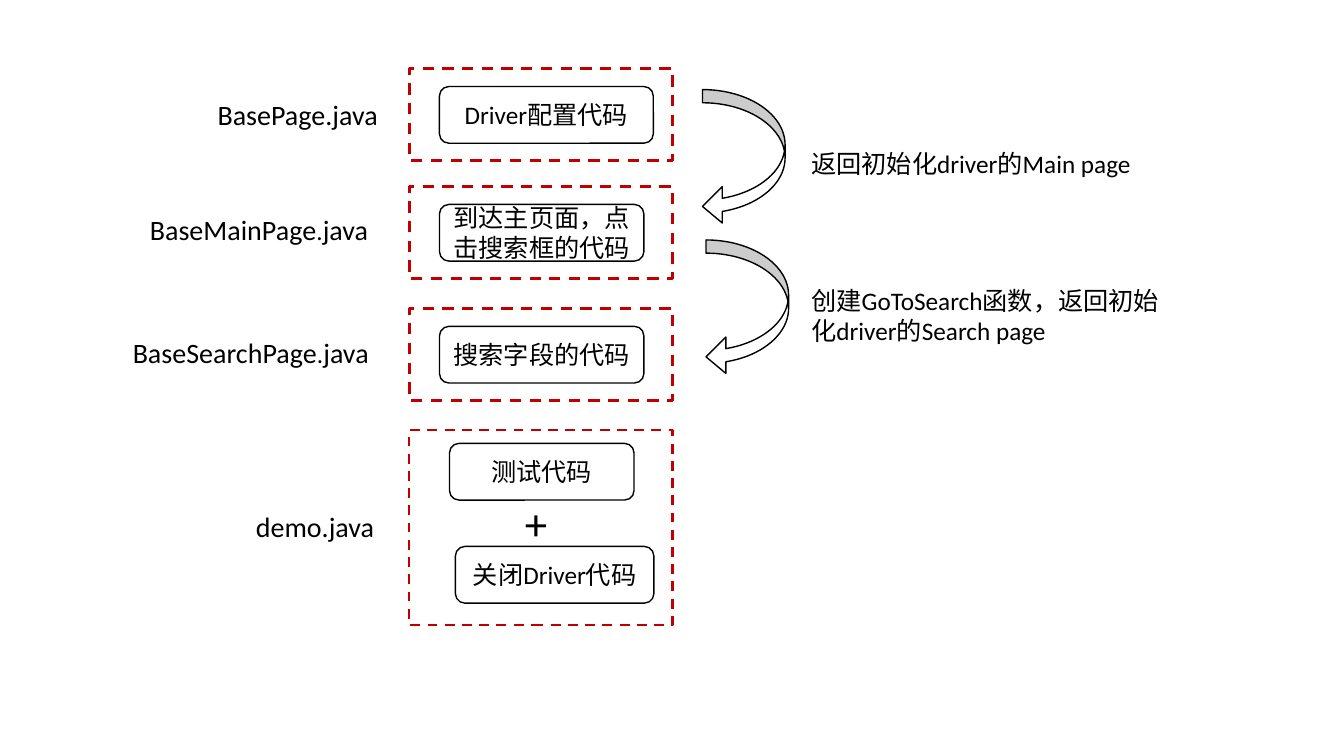
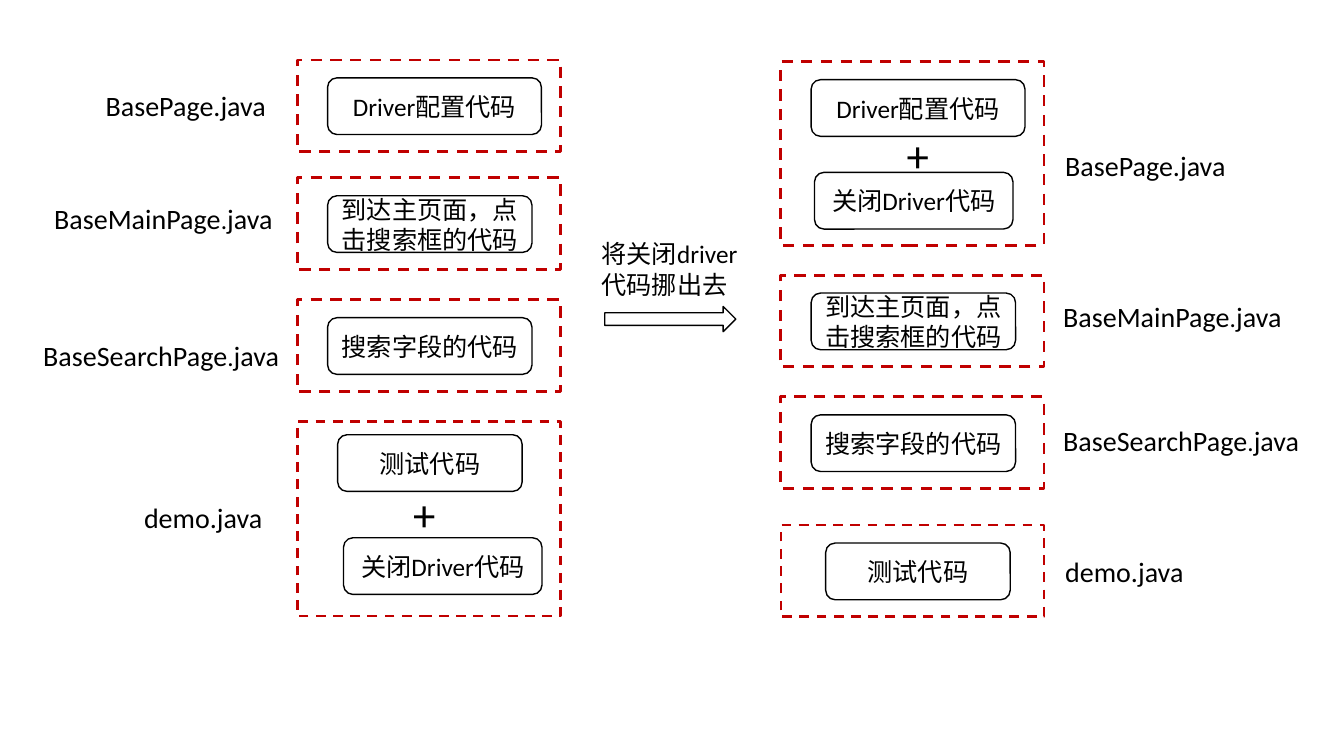
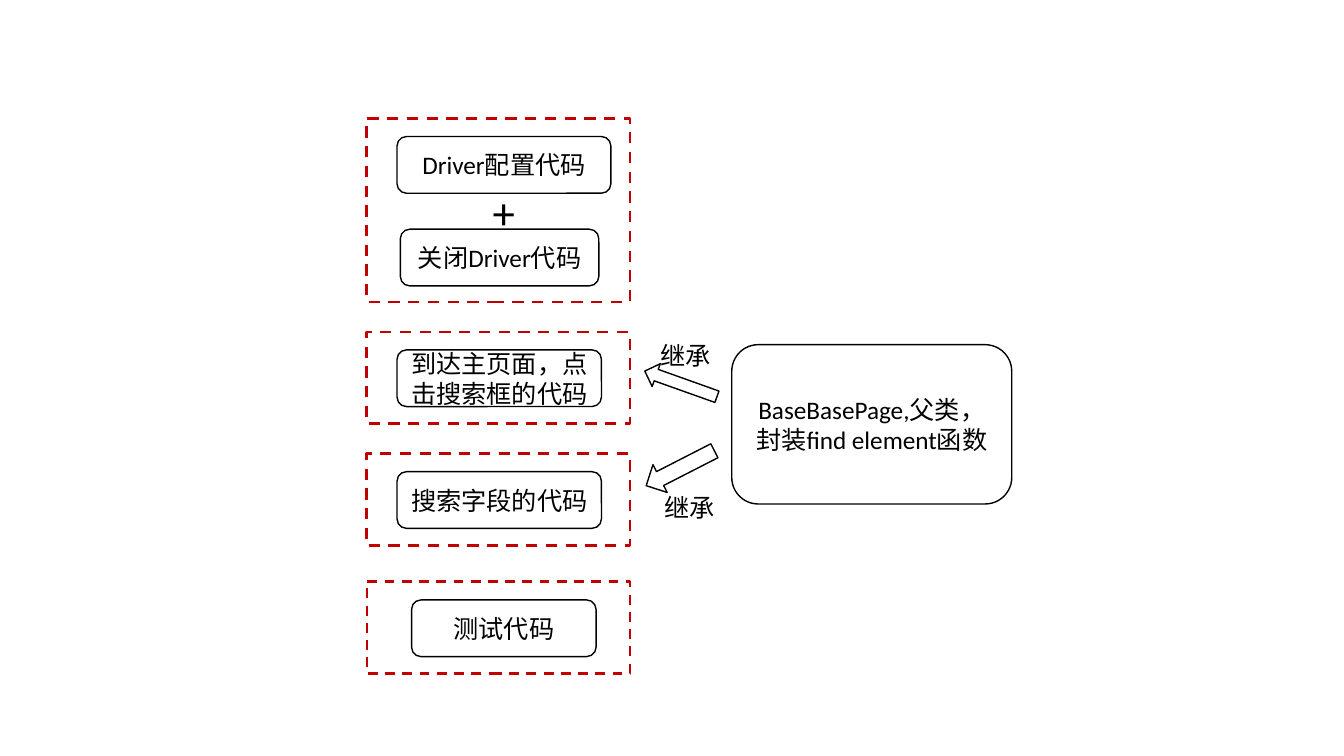
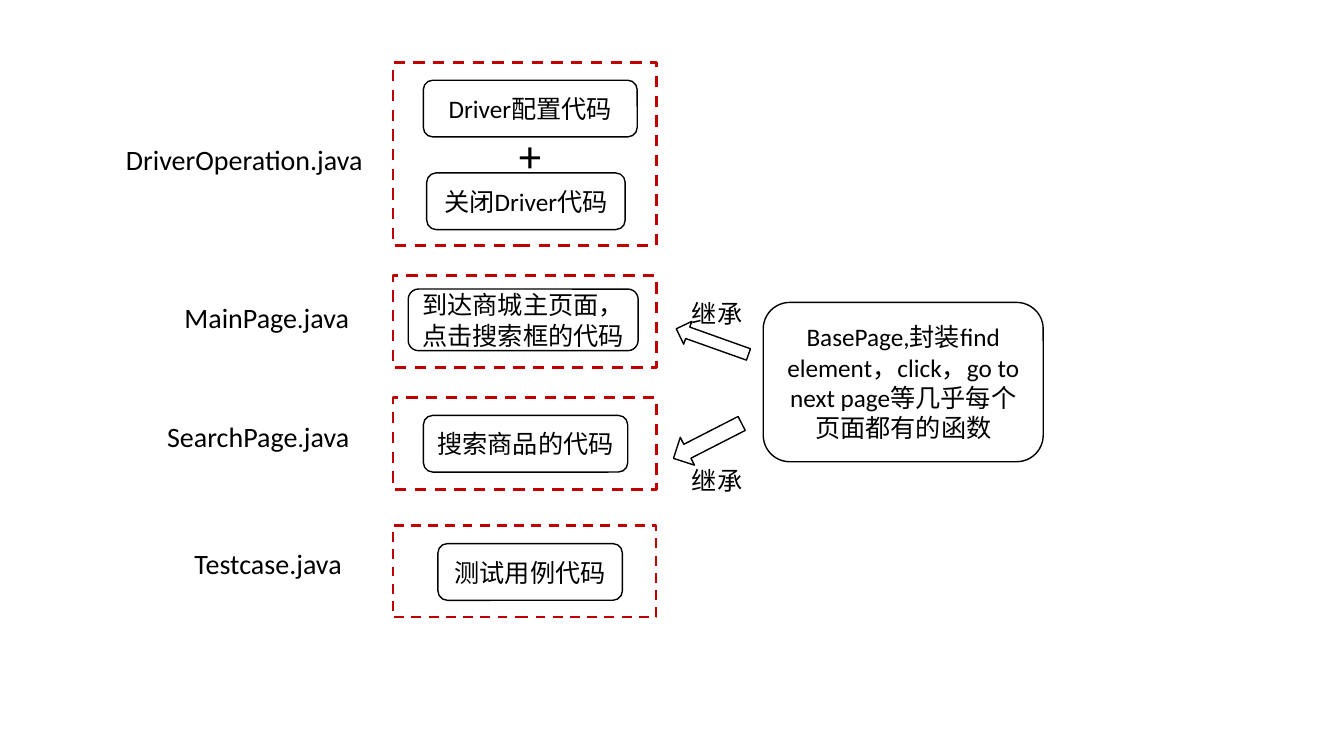
from pptx import Presentation
from pptx.dml.color import RGBColor
from pptx.enum.dml import MSO_LINE_DASH_STYLE as Dash
from pptx.enum.shapes import MSO_SHAPE as Preset
from pptx.enum.text import MSO_AUTO_SIZE as AutoSize, PP_ALIGN as Align
from pptx.util import Pt

COLORS = {"ink": "000000", "paper": "FFFFFF", "frame": "C00000"}
FONT = "Calibri"
BLANK_LAYOUT = 6

FRAME_WIDTH, FRAME_HEIGHT = 188, 65.5
BLOCK_HEIGHT = 40.5
BLOCK_INSET = 21.6, 12.8
STEP_WIDTH = 146

MAIN_STEP = "到达主页面，点击搜索框的代码"
SEARCH_STEP = "搜索字段的代码"
FILES = "BasePage.java", "BaseMainPage.java", "BaseSearchPage.java", "demo.java"
FILE_WIDTHS = 130.3, 172, 185, 100


def color(name):
    return RGBColor.from_string(COLORS[name])


def write(frame, text, size=18, dot_size=None, align=Align.LEFT):
    """Fill a text frame; dot_size gives the dot of a file name its own size."""
    paragraph = frame.paragraphs[0]
    paragraph.alignment = align
    pieces = text.partition(".") if dot_size else (text,)
    for piece in pieces:
        run = paragraph.add_run()
        run.text = piece
        run.font.name = FONT
        run.font.size = Pt(dot_size if dot_size and piece == "." else size)
        run.font.color.rgb = color("ink")


class Deck:
    def __init__(self):
        self.presentation = Presentation()
        self.presentation.slide_width = Pt(960)
        self.presentation.slide_height = Pt(540)
        self.slide = None

    def new_slide(self):
        layout = self.presentation.slide_layouts[BLANK_LAYOUT]
        self.slide = self.presentation.slides.add_slide(layout)

    def shape(self, preset, left, top, width, height, line="ink", weight=1, fill="paper"):
        shape = self.slide.shapes.add_shape(preset, Pt(left), Pt(top), Pt(width), Pt(height))
        shape.shadow.inherit = False
        if fill:
            shape.fill.solid()
            shape.fill.fore_color.rgb = color(fill)
        else:
            shape.fill.background()
        shape.line.color.rgb = color(line)
        shape.line.width = Pt(weight)
        return shape

    def frame(self, left, top, height=FRAME_HEIGHT, weight=2):
        shape = self.shape(Preset.RECTANGLE, left, top, FRAME_WIDTH, height,
                           line="frame", weight=weight, fill=None)
        shape.line.dash_style = Dash.DASH

    def block(self, text, left, top, width, height=BLOCK_HEIGHT):
        shape = self.shape(Preset.ROUNDED_RECTANGLE, left, top, width, height)
        write(shape.text_frame, text, align=Align.CENTER)

    def text(self, text, left, top, width, height, wrap=False, **style):
        box = self.slide.shapes.add_textbox(Pt(left), Pt(top), Pt(width), Pt(height))
        box.text_frame.word_wrap = wrap
        box.text_frame.auto_size = AutoSize.SHAPE_TO_FIT_TEXT
        write(box.text_frame, text, **style)

    def plus(self, left, top):
        self.text("+", left, top, 31, 46, size=32)

    def file_labels(self, names, lefts, tops, widths):
        for name, left, top, width in zip(names, lefts, tops, widths):
            small_dot = name.endswith(("MainPage.java", "SearchPage.java"))
            self.text(name, left, top, width, 31.5, size=20, dot_size=18 if small_dot else None)

    def arrow(self, preset, left, top, width, height, rotation=0, adjustments=()):
        shape = self.shape(preset, left, top, width, height)
        shape.rotation = rotation
        for index, value in enumerate(adjustments):
            shape.adjustments[index] = value

    def driver_panel(self, left, top, closing=False):
        inset_x, inset_y = BLOCK_INSET
        self.frame(left, top, 131 if closing else FRAME_HEIGHT)
        self.block("Driver配置代码", left + inset_x, top + inset_y, 152.8)
        if closing:
            self.block("关闭Driver代码", left + 24, top + 79, 141.8)
            self.plus(left + 82.8, top + 43.5)

    def step_panel(self, text, left, top, inset=BLOCK_INSET, width=STEP_WIDTH,
                   height=BLOCK_HEIGHT):
        self.frame(left, top)
        self.block(text, left + inset[0], top + inset[1], width, height)

    def test_panel(self, left, top, text="测试代码", closing=False):
        self.frame(left, top, 139 if closing else FRAME_HEIGHT, weight=1.75)
        inset_x, inset_y = (28.8, 9.4) if closing else (32, 13)
        self.block(text, left + inset_x, top + inset_y, 131.8)
        if closing:
            self.block("关闭Driver代码", left + 33, top + 83, 141.8)
            self.plus(left + 75.6, top + 43.2)

    def closing_in_test(self, left, top):
        """Stack whose test file also closes the driver."""
        self.driver_panel(left, top)
        self.step_panel(MAIN_STEP, left, top + 84.2)
        self.step_panel(SEARCH_STEP, left, top + 171.3)
        self.test_panel(left, top + 258.3, closing=True)

    def closing_in_base(self, left, top, main=MAIN_STEP, search=SEARCH_STEP,
                        test="测试代码", **main_box):
        """Stack whose base file both sets up and closes the driver."""
        self.driver_panel(left, top, closing=True)
        self.step_panel(main, left, top + 152.4, **main_box)
        self.step_panel(search, left, top + 239.4)
        self.test_panel(left, top + 330.8, test)

    def parent_class(self, text, left, top, lower_left, lower_top):
        """Parent box with an upper and a lower inheritance arrow."""
        self.block(text, left, top, 200, 113.8)
        self.arrow(Preset.LEFT_ARROW, left - 63.7, top + 19.4, 54.7, 17.3, 19.6)
        self.arrow(Preset.LEFT_ARROW, lower_left, lower_top, 54.7, 22.3, 332.9)
        for label_left, label_top in ((left - 58, top - 6.5), (lower_left + 9, lower_top + 25)):
            self.text("继承", label_left, label_top, 51, 29)


def add_return_flow(deck):
    deck.new_slide()
    deck.closing_in_test(292.3, 49)
    deck.file_labels(FILES, (148.3, 100, 87.8, 175.7), (66.2, 148.3, 236.2, 360.7), FILE_WIDTHS)
    for left, top in ((501.8, 64), (504.3, 171.4)):
        deck.arrow(Preset.CURVED_LEFT_ARROW, left, top, 59, 96.5,
                   adjustments=(0.16, 0.44, 0.24))
    deck.text("返回初始化driver的Main page", 572.4, 102.2, 249, 29, wrap=True)
    deck.text("创建GoToSearch函数，返回初始化driver的Search page",
              572.4, 200.2, 266.4, 51, wrap=True)


def add_closing_move(deck):
    deck.new_slide()
    deck.closing_in_test(212.4, 42.8)
    deck.file_labels(FILES, (68.4, 31.7, 23.8, 95.8), (59.8, 140.4, 238.3, 354.2), FILE_WIDTHS)
    deck.arrow(Preset.RIGHT_ARROW, 432, 218.9, 93.6, 18)
    deck.text("将关闭driver代码挪出去", 422.6, 167, 125.3, 51, wrap=True)
    deck.closing_in_base(557.8, 44.1)
    deck.file_labels(FILES, (753.8, 752.4, 752.4, 753.8), (102.2, 210.2, 298.8, 392.4), FILE_WIDTHS)


def add_parent_class(deck):
    deck.new_slide()
    deck.closing_in_base(262, 84.7)
    deck.parent_class("BaseBasePage,父类，封装find element函数", 522.7, 246.2, 458.6, 323.3)


def add_final_structure(deck):
    deck.new_slide()
    deck.closing_in_base(280.8, 44.5, main="到达商城主页面，点击搜索框的代码",
                         search="搜索商品的代码", test="测试用例代码",
                         inset=(10.8, 9.6), width=164.2, height=44)
    deck.file_labels(("DriverOperation.java", "MainPage.java", "SearchPage.java", "Testcase.java"),
                     (82.8, 124.6, 112.3, 131.8), (98, 211, 296, 386.6),
                     (185.8, 133.2, 146.2, 126))
    deck.parent_class("BasePage,封装find element，click，go to next page等几乎每个页面都有的函数",
                      545.2, 216, 478.1, 303.8)


def main():
    deck = Deck()
    add_return_flow(deck)
    add_closing_move(deck)
    add_parent_class(deck)
    add_final_structure(deck)
    deck.presentation.save("out.pptx")


if __name__ == "__main__":
    main()
